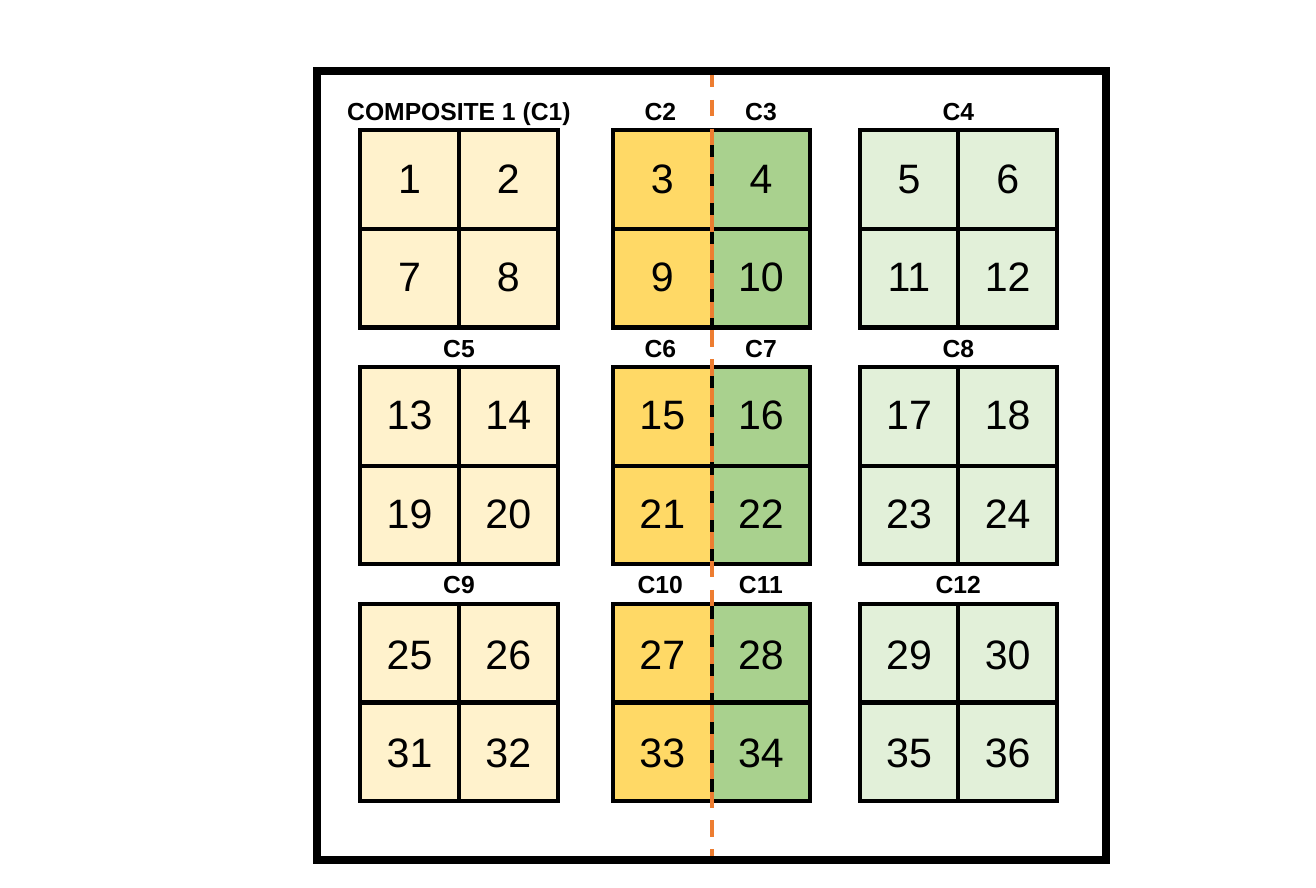
"""Build a slide of 36 numbered plots grouped into twelve composites."""
import pptx
import pptx.util
import pptx.dml.color
import pptx.enum.dml
import pptx.enum.shapes
import pptx.enum.text
import pptx.oxml.ns

Inches = pptx.util.Inches
Pt = pptx.util.Pt
RGBColor = pptx.dml.color.RGBColor

BLACK = RGBColor(0x00, 0x00, 0x00)
CREAM = RGBColor(0xFF, 0xF2, 0xCC)
GOLD = RGBColor(0xFF, 0xD9, 0x66)
GREEN = RGBColor(0xA9, 0xD1, 0x8E)
MINT = RGBColor(0xE2, 0xF0, 0xD9)
ORANGE = RGBColor(0xED, 0x7D, 0x31)

COMPOSITES = [
    ("COMPOSITE 1 (C1)", "C2", "C3", "C4"),
    ("C5", "C6", "C7", "C8"),
    ("C9", "C10", "C11", "C12"),
]
COMPOSITE_CENTRES = (4.65, 6.69, 7.71, 9.71)
COMPOSITE_WIDTHS = {2: 0.52, 3: 0.66, 16: 2.49}
NUMBER_WIDTHS = {1: 0.44, 2: 0.67}
BLOCK_LEFTS = (3.65, 6.21, 8.71)
BLOCK_FILLS = (CREAM, None, MINT)
HALF_FILLS = (GOLD, GREEN)
BLOCK_TOPS = (1.32, 3.72, 6.12)
NUMBER_TOPS = ((1.5, 2.49), (3.89, 4.89), (6.32, 7.31))
BLOCK, PLOT = 2, 1
FIELD_LEFT, FIELD_TOP, FIELD = 3.21, 0.72, 8
PLOTS_PER_ROW = 6

deck = pptx.Presentation()
deck.slide_width, deck.slide_height = Inches(40 / 3), Inches(9)
slide = deck.slides.add_slide(deck.slide_layouts[6])


def add_box(left, top, width, height, fill=None, weight=None):
    box = slide.shapes.add_shape(
        pptx.enum.shapes.MSO_SHAPE.RECTANGLE,
        Inches(left), Inches(top), Inches(width), Inches(height))
    box.shadow.inherit = False
    if fill is None:
        box.fill.background()
    else:
        box.fill.solid()
        box.fill.fore_color.rgb = fill
    if weight is None:
        box.line.fill.background()
    else:
        box.line.color.rgb = BLACK
        box.line.width = Pt(weight)
        outline = box._element.spPr.find(pptx.oxml.ns.qn("a:ln"))
        outline.append(outline.makeelement(
            pptx.oxml.ns.qn("a:miter"), {"lim": "800000"}))


def add_divider(x1, y1, x2, y2, color=BLACK, dash=None):
    divider = slide.shapes.add_connector(
        pptx.enum.shapes.MSO_CONNECTOR.STRAIGHT,
        Inches(x1), Inches(y1), Inches(x2), Inches(y2))
    divider.line.color.rgb = color
    divider.line.width = Pt(3)
    if dash is not None:
        divider.line.dash_style = dash
    properties = divider._element.spPr
    properties.append(properties.makeelement(pptx.oxml.ns.qn("a:effectLst"), {}))


def add_text(text, centre, top, width, height, size, bold=False):
    holder = slide.shapes.add_textbox(
        Inches(centre - width / 2), Inches(top), Inches(width), Inches(height))
    frame = holder.text_frame
    frame.word_wrap = False
    frame.auto_size = pptx.enum.text.MSO_AUTO_SIZE.SHAPE_TO_FIT_TEXT
    paragraph = frame.paragraphs[0]
    paragraph.alignment = pptx.enum.text.PP_ALIGN.CENTER
    run = paragraph.add_run()
    run.text = text
    run.font.name = "Arial"
    run.font.size = Pt(size)
    run.font.bold = bold
    run.font.color.rgb = BLACK


for top in BLOCK_TOPS:
    for side, fill in enumerate(HALF_FILLS):
        add_box(BLOCK_LEFTS[1] + side * PLOT, top + 0.02, PLOT, 1.96, fill=fill)

for top in BLOCK_TOPS:
    for left, fill in zip(BLOCK_LEFTS, BLOCK_FILLS):
        add_box(left, top, BLOCK, BLOCK, fill=fill, weight=3)
        add_divider(left + PLOT, top, left + PLOT, top + BLOCK)
        add_divider(left, top + PLOT, left + BLOCK, top + PLOT)

middle = FIELD_LEFT + FIELD / 2
add_divider(middle, FIELD_TOP, middle, FIELD_TOP + FIELD, color=ORANGE,
            dash=pptx.enum.dml.MSO_LINE.DASH)
add_box(FIELD_LEFT, FIELD_TOP, FIELD, FIELD, weight=6)

for top, names in zip(BLOCK_TOPS, COMPOSITES):
    for name, centre in zip(names, COMPOSITE_CENTRES):
        add_text(name, centre, top - 0.4, COMPOSITE_WIDTHS[len(name)], 0.4,
                 size=18, bold=True)

plot_centres = [left + (side + 0.5) * PLOT for left in BLOCK_LEFTS for side in range(2)]
plot_tops = [top for pair in NUMBER_TOPS for top in pair]
for row, top in enumerate(plot_tops):
    for column, centre in enumerate(plot_centres):
        number = str(row * PLOTS_PER_ROW + column + 1)
        add_text(number, centre, top, NUMBER_WIDTHS[len(number)], 0.61, size=30)

deck.save("out.pptx")
